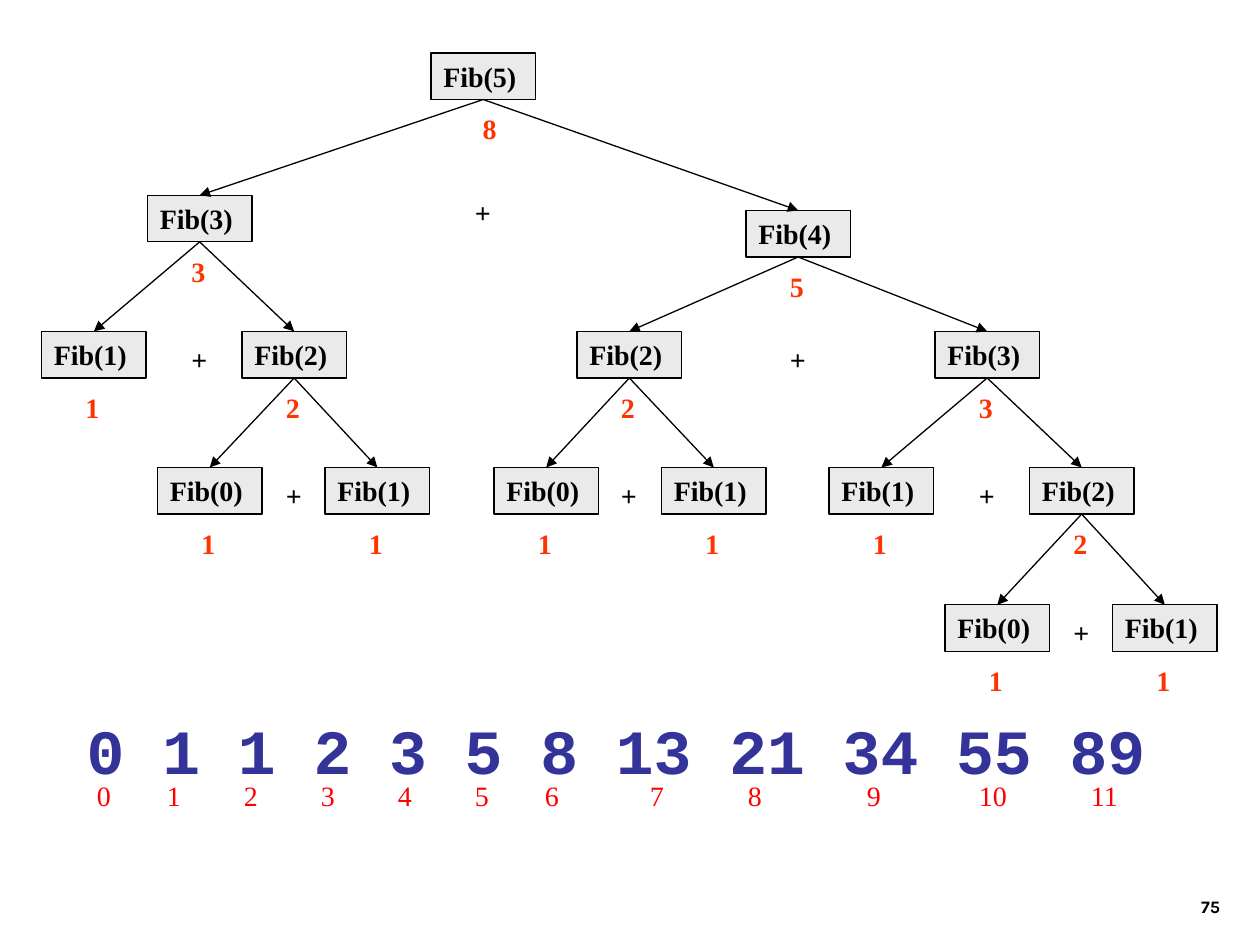
"""Build a slide with the Fibonacci call tree and the first numbers of the sequence."""
from dataclasses import dataclass
from itertools import accumulate

from lxml import etree
from pptx import Presentation
from pptx.dml.color import RGBColor
from pptx.enum.shapes import MSO_CONNECTOR, MSO_SHAPE
from pptx.enum.text import MSO_ANCHOR, MSO_AUTO_SIZE, PP_ALIGN
from pptx.oxml.ns import qn
from pptx.shapes.autoshape import Shape
from pptx.slide import Slide
from pptx.util import Inches, Pt

RECTANGLE = MSO_SHAPE.RECTANGLE
STRAIGHT = MSO_CONNECTOR.STRAIGHT
LEFT, RIGHT = PP_ALIGN.LEFT, PP_ALIGN.RIGHT
TOP, BOTTOM = MSO_ANCHOR.TOP, MSO_ANCHOR.BOTTOM
FIT_SHAPE = MSO_AUTO_SIZE.SHAPE_TO_FIT_TEXT
TOP_SIDE, BOTTOM_SIDE = 0, 2

SERIF, MONO, SANS = "Times New Roman", "Courier New", "Karla"
BLACK, GRAY, ORANGE, RED, BLUE = "000000", "EAEAEA", "FF3300", "FF0000", "333399"
BOX_WIDTH, BOX_HEIGHT = 0.83, 0.37
LABEL_INDENT, VALUE_DROP, PLUS_DROP = 0.25, 0.42, 0.04
ROW_3, ROW_4, ROW_5 = 2.63, 3.71, 4.8


@dataclass
class Call:
    """One call of the function, with the calls it makes."""
    number: int
    left: float
    top: float
    children: tuple["Call", ...] = ()
    plus_top: float | None = None
    value_shift: float = 0

    @property
    def value(self) -> int:
        """Return the sum of the calls below, or 1 for a leaf."""
        return sum(child.value for child in self.children) or 1


TREE = Call(5, 3.42, 0.42, (
    Call(3, 1.17, 1.55, (
        Call(1, 0.33, ROW_3),
        Call(2, 1.92, ROW_3, (Call(0, 1.25, ROW_4), Call(1, 2.58, ROW_4))),
    )),
    Call(4, 5.92, 1.67, (
        Call(2, 4.58, ROW_3, (Call(0, 3.92, ROW_4), Call(1, 5.25, ROW_4))),
        Call(3, 7.42, ROW_3, (
            Call(1, 6.58, ROW_4),
            Call(2, 8.17, ROW_4, (Call(0, 7.5, ROW_5), Call(1, 8.83, ROW_5))),
        )),
    )),
), plus_top=1.5, value_shift=0.06)
INDEX_STEPS = (40, 44, 44, 44, 44, 40, 60, 56, 68, 64, 64)


def color(value: str) -> RGBColor:
    """Turn a hex string into a colour."""
    return RGBColor.from_string(value)


def write(box: Shape, text: str, *, size: float = 16, font: str = SERIF,
          ink: str = BLACK, bold: bool = True, align: PP_ALIGN = LEFT,
          anchor: MSO_ANCHOR = TOP, shift: float = 0,
          tabs: tuple[int, ...] = ()) -> None:
    """Put one formatted paragraph into a box."""
    frame = box.text_frame
    frame.word_wrap = True
    frame.vertical_anchor = anchor
    frame.margin_left = Inches(0.1 + shift)
    if anchor == TOP:
        frame.auto_size = FIT_SHAPE
    para = frame.paragraphs[0]
    para.alignment = align
    if tabs:
        tab_list = etree.SubElement(para._p.get_or_add_pPr(), qn("a:tabLst"))
        for position in tabs:
            etree.SubElement(tab_list, qn("a:tab"), pos=str(Pt(position)), algn="l")
    span = para.add_run()
    span.text = text
    span.font.size = Pt(size)
    span.font.name = font
    span.font.bold = bold
    span.font.color.rgb = color(ink)


def add_text(page: Slide, text: str, left: float, top: float, width: float,
             height: float = BOX_HEIGHT, **style) -> None:
    """Add a text box with one paragraph."""
    box = page.shapes.add_textbox(Inches(left), Inches(top), Inches(width), Inches(height))
    write(box, text, **style)


def add_arrow(page: Slide, parent: Shape, child: Shape) -> None:
    """Join the bottom of one box to the top of another."""
    arrow = page.shapes.add_connector(STRAIGHT, 0, 0, 0, 0)
    arrow.begin_connect(parent, BOTTOM_SIDE)
    arrow.end_connect(child, TOP_SIDE)
    arrow.line.color.rgb = color(BLACK)
    arrow.line.width = Pt(0.75)
    etree.SubElement(arrow.line._get_or_add_ln(), qn("a:tailEnd"), type="triangle")
    etree.SubElement(arrow._element.spPr, qn("a:effectLst"))


def add_call(page: Slide, call: Call) -> Shape:
    """Draw a call, its value and everything below it."""
    box = page.shapes.add_shape(RECTANGLE, Inches(call.left), Inches(call.top),
                                Inches(BOX_WIDTH), Inches(BOX_HEIGHT))
    box.shadow.inherit = False
    box.fill.solid()
    box.fill.fore_color.rgb = color(GRAY)
    box.line.color.rgb = color(BLACK)
    box.line.width = Pt(0.75)
    write(box, f"Fib({call.number})")
    label_left = call.left + LABEL_INDENT
    add_text(page, str(call.value), label_left, call.top + VALUE_DROP, 0.42,
             ink=ORANGE, shift=call.value_shift)
    if call.children:
        plus_top = call.plus_top or call.children[0].top + PLUS_DROP
        add_text(page, "+", label_left, plus_top, 0.33)
    for child in call.children:
        add_arrow(page, box, add_call(page, child))
    return box


def main() -> None:
    """Build and save the deck."""
    deck = Presentation()
    deck.slide_width, deck.slide_height = Inches(10), Inches(7.5)
    page = deck.slides.add_slide(deck.slide_layouts[6])
    add_text(page, "75", 7.7, 6.83, 2.08, 0.5, size=10, font=SANS,
             align=RIGHT, anchor=BOTTOM)
    add_call(page, TREE)
    add_text(page, "0 1 1 2 3 5 8 13 21 34 55 89", 0.59, 5.6, 8.9, 0.7,
             size=36, font=MONO, ink=BLUE)
    add_text(page, "\t".join(str(index) for index in range(12)), 0.67, 6.13, 8.42,
             ink=RED, bold=False, tabs=tuple(accumulate(INDEX_STEPS)))
    deck.save("out.pptx")


if __name__ == "__main__":
    main()
